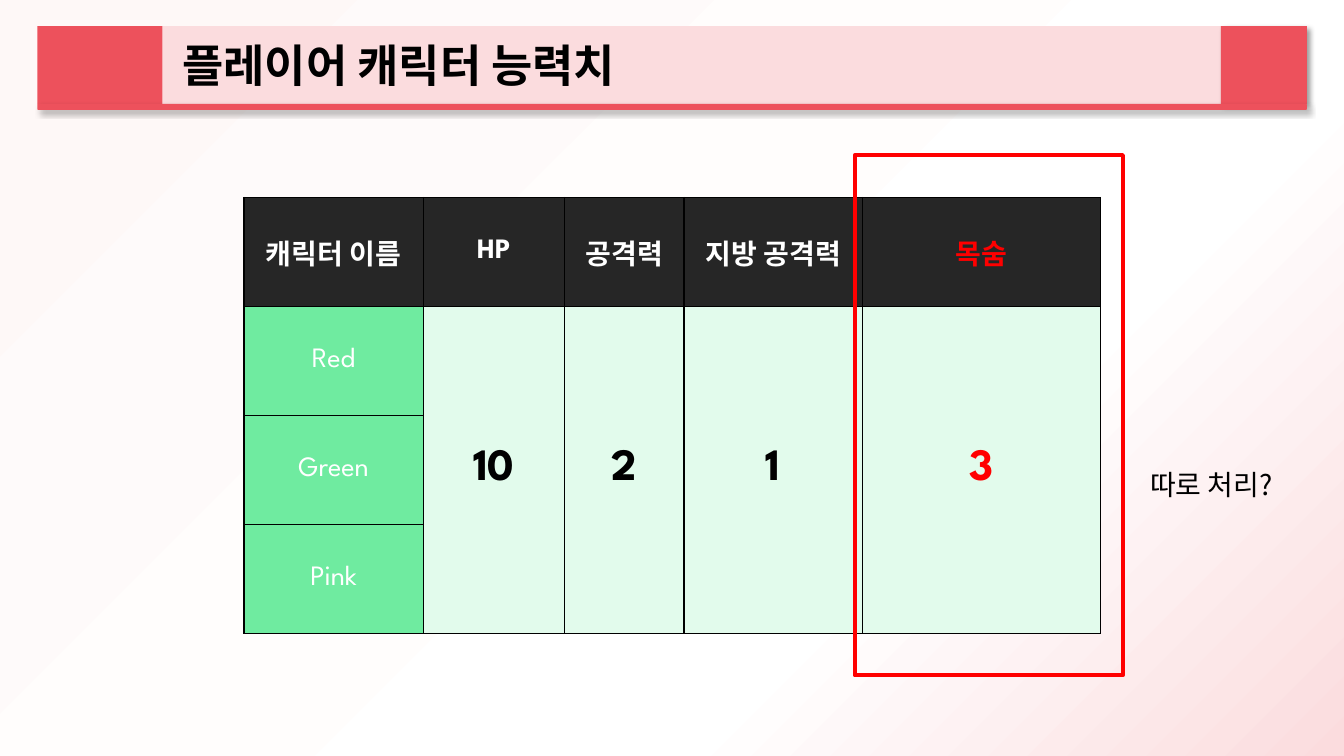
from dataclasses import dataclass
from pptx import Presentation
from pptx.dml.color import RGBColor as Rgb
from pptx.enum.shapes import MSO_SHAPE as Kind
from pptx.enum.text import MSO_ANCHOR as Anchor, MSO_AUTO_SIZE as Fit, PP_ALIGN as Align
from pptx.oxml import parse_xml
from pptx.oxml.ns import nsdecls, qn
from pptx.util import Inches, Pt


@dataclass(frozen=True)
class Theme:
    """Colours, fonts and type sizes."""
    black: str = "000000"
    white: str = "FFFFFF"
    red: str = "FF0000"
    coral: str = "ED515C"
    blush: str = "FBDCDE"
    cream: str = "FEF8F7"
    dark: str = "262626"
    green: str = "6FEBA0"
    mint: str = "E2FBEC"
    head: str = "Arial"
    grid: str = "League Spartan"
    hangul: str = "Noto Sans CJK KR"
    big: int = 32
    small: int = 20


def node(tag, attrs="", inner=""):
    """Make one drawing element from its tag, attributes and content."""
    return parse_xml(f'<a:{tag} {nsdecls("a")} {attrs}>{inner}</a:{tag}>')


def tint(code, inner=""):
    """Give the markup of a colour."""
    return f'<a:srgbClr val="{code}">{inner}</a:srgbClr>'


class Deck:
    """Holds the theme and the current slide; lengths are percent of the slide."""

    def __init__(self, theme):
        """Open a wide deck with one title slide."""
        self.theme = theme
        self.prs = Presentation()
        self.prs.slide_width, self.prs.slide_height = Inches(13.33), Inches(7.5)
        self.slide = self.prs.slides.add_slide(self.prs.slide_layouts[5])

    def wide(self, share):
        """Turn a share of the width into a length."""
        return int(self.prs.slide_width * share / 100)

    def high(self, share):
        """Turn a share of the height into a length."""
        return int(self.prs.slide_height * share / 100)

    def area(self, box):
        """Turn left, top, width and height shares into lengths."""
        x, y, w, h = box
        return self.wide(x), self.high(y), self.wide(w), self.high(h)

    def back(self, stops):
        """Fill the background with a diagonal gradient."""
        fill = self.slide.background.fill
        fill.gradient()
        fill.gradient_angle = 315
        ramp = self.slide.element.find(".//" + qn("a:gsLst"))
        for stop in list(ramp):
            ramp.remove(stop)
        for place, code in stops:
            ramp.append(node("gs", f'pos="{place * 1000}"', tint(code)))

    def label(self, frame, text, size, code, face, bold=False, align=Align.LEFT):
        """Put one styled paragraph in a text frame."""
        frame.text = text
        para = frame.paragraphs[0]
        para.alignment = align
        font = para.font
        font.size, font.bold, font.name = Pt(size), bold, face
        font.color.rgb = Rgb.from_string(code)
        props = para._p.pPr.find(qn("a:defRPr"))
        props.append(node("ea", f'typeface="{self.theme.hangul}"'))
        return para

    def title(self, text, box, fill, inset):
        """Place and style the title on a filled band."""
        shape = self.slide.shapes.title
        shape.left, shape.top, shape.width, shape.height = self.area(box)
        shape.fill.solid()
        shape.fill.fore_color.rgb = Rgb.from_string(fill)
        frame = shape.text_frame
        frame.auto_size, frame.vertical_anchor = Fit.NONE, Anchor.MIDDLE
        frame.margin_left = self.wide(inset)
        self.label(frame, text, self.theme.big, self.theme.black, self.theme.head, True)

    def block(self, box, fill=None, line=None, kind=Kind.RECTANGLE, shade=False):
        """Draw a filled or outlined shape, with a soft shadow if wanted."""
        shape = self.slide.shapes.add_shape(kind, *self.area(box))
        shape.shadow.inherit = False
        if fill:
            shape.fill.solid()
            shape.fill.fore_color.rgb = Rgb.from_string(fill)
        else:
            shape.fill.background()
        if line:
            shape.line.color.rgb = Rgb.from_string(line)
            shape.line.width = Pt(3)
        else:
            shape.line.fill.background()
        if shade:
            glow = node("outerShdw", f'blurRad="{Pt(4)}" dist="{Pt(3)}" dir="2700000"',
                        tint(self.theme.black, '<a:alpha val="40000"/>'))
            shape._element.spPr.find(qn("a:effectLst")).append(glow)

    def note(self, text, box):
        """Add a free line of text."""
        frame = self.slide.shapes.add_textbox(*self.area(box)).text_frame
        frame.word_wrap = True
        para = self.label(frame, text, self.theme.small, self.theme.black,
                          self.theme.hangul)
        para.line_spacing = 1.5

    def cell(self, cell, fill, text=None, **style):
        """Fill and border a cell, and set its text if it has any."""
        cell.fill.solid()
        cell.fill.fore_color.rgb = Rgb.from_string(fill)
        cell.vertical_anchor = Anchor.MIDDLE
        props = cell._tc.get_or_add_tcPr()
        ink = f"<a:solidFill>{tint(self.theme.black)}</a:solidFill>"
        for spot, side in enumerate(("lnL", "lnR", "lnT", "lnB")):
            props.insert(spot, node(side, f'w="{Pt(1)}"', ink))
        if text:
            self.label(cell.text_frame, text, face=self.theme.grid,
                       align=Align.CENTER, **style)

    def table(self, spot, cols, row, heads, names, stats):
        """Build a table whose stats each span all the named rows."""
        look, count = self.theme, len(names)
        box = (*spot, sum(cols), row * (count + 1))
        table = self.slide.shapes.add_table(count + 1, len(cols), *self.area(box)).table
        table.first_row = table.horz_banding = False
        for col, share in zip(table.columns, cols):
            col.width = self.wide(share)
        for line in table.rows:
            line.height = self.high(row)
        last = len(heads) - 1
        for c, head in enumerate(heads):
            self.cell(table.cell(0, c), look.dark, head, size=look.small,
                      code=look.red if c == last else look.white, bold=True)
        for r, name in enumerate(names, 1):
            self.cell(table.cell(r, 0), look.green, name, size=look.small,
                      code=look.white)
        for c, stat in enumerate(stats, 1):
            for r in range(1, count + 1):
                self.cell(table.cell(r, c), look.mint, stat if r == 1 else None,
                          size=look.big, bold=True,
                          code=look.red if c == last else look.black)
            table.cell(1, c).merge(table.cell(count, c))


def main():
    """Build the slide and save it."""
    look = Theme()
    deck = Deck(look)
    deck.back([(0, look.cream), (68, look.white), (100, look.blush)])

    left, right, top, tall = 2.78, 97.24, 3.47, 10.27
    start, end = 9.3, 6.4
    deck.title("플레이어 캐릭터 능력치", (left + start, top, right - left - start, tall),
               look.blush, 1.5)
    deck.block((right - end, top, end, tall), look.coral, shade=True)
    deck.block((left, top, start, tall), look.coral)
    deck.block((left, top + tall, right - left, 0.8), look.coral,
               kind=Kind.ROUNDED_RECTANGLE, shade=True)

    deck.table((18.15, 26.13), (13.35, 10.5, 8.9, 13.28, 17.7), 14.42,
               ("캐릭터 이름", "HP", "공격력", "지방 공격력", "목숨"),
               ("Red", "Green", "Pink"), ("10", "2", "1", "3"))
    deck.block((63.6, 20.53, 19.95, 68.8), line=look.red)
    deck.note("따로 처리?", (84.83, 58.93, 10.65, 7.47))
    deck.prs.save("out.pptx")


main()
